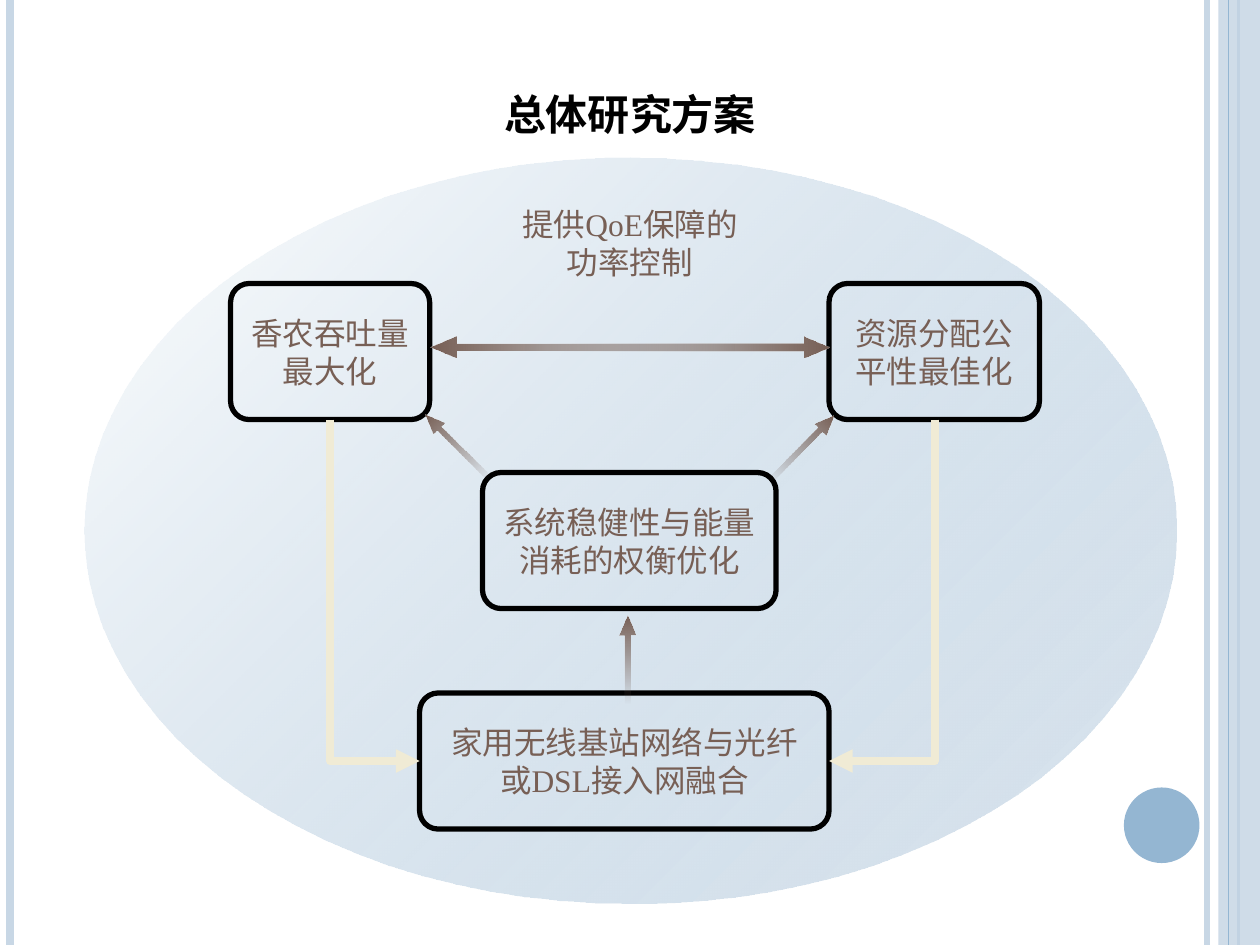
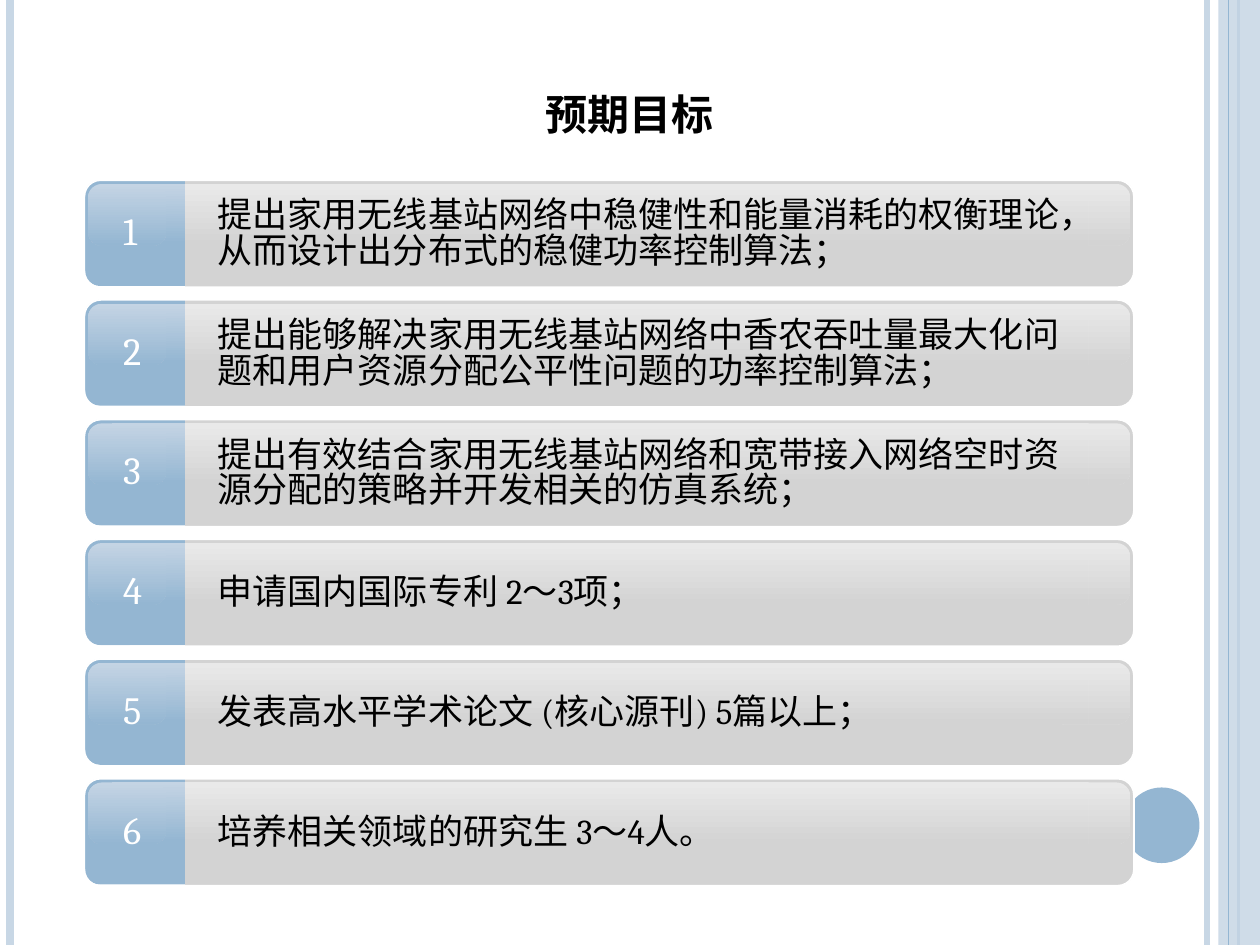
from dataclasses import dataclass, field
from typing import Any, NamedTuple

from pptx import Presentation
from pptx import util as u
from pptx.dml.color import RGBColor
from pptx.enum import shapes as sh, text as tx
from pptx.oxml import ns, parse_xml

In, Pt = u.Inches, u.Pt
Kind = sh.MSO_SHAPE


class Box(NamedTuple):
    x: float
    y: float
    w: float
    h: float

    def inch(self) -> list[int]:
        return [In(v) for v in self]


class Stop(NamedTuple):
    pos: int
    color: str
    alpha: int = 100


class Fill(NamedTuple):
    stops: tuple[Stop, ...]
    angle: int = 0


class Run(NamedTuple):
    text: str
    font: str


@dataclass(frozen=True)
class Theme:
    blue: str = "94B6D2"
    pale: str = "C8D7E5"
    brown: str = "775F55"
    cream: str = "F0EBD5"
    black: str = "000000"
    white: str = "FFFFFF"
    serif: str = "Cambria"
    sans: str = "DejaVu Sans"
    roman: str = "Times New Roman"
    title: int = 30
    node: int = 18
    goal: int = 20
    digit: int = 22


T = Theme()
BAND = Fill((Stop(0, T.pale, 87),))
BLUE = Fill((Stop(0, T.blue),))
OVAL = Fill((Stop(0, T.blue, 0), Stop(100, "D8E3ED")), 45)
ARROW = Fill((Stop(0, "715A51", 0), Stop(100, T.brown)))
GREY = Fill((Stop(0, "D3D3D3"), Stop(100, "D1D1D1")), 90)
GLOSS = Fill((Stop(0, "E9E9E9"), Stop(100, "D3D3D3")), 90)
SHINE = Fill((Stop(0, "C4D4E4"), Stop(100, T.blue)), 90)


@dataclass(frozen=True)
class Style:
    size: int
    color: str
    frame: dict[str, Any] = field(default_factory=dict)
    para: dict[str, Any] = field(default_factory=dict)
    font: dict[str, Any] = field(default_factory=dict)


MID = tx.MSO_ANCHOR.MIDDLE
CENTER = {"alignment": tx.PP_ALIGN.CENTER}
GROW = tx.MSO_AUTO_SIZE.SHAPE_TO_FIT_TEXT
TITLE = Style(T.title, T.black, {"vertical_anchor": tx.MSO_ANCHOR.BOTTOM},
              CENTER, {"bold": True})
NODE = Style(T.node, T.brown, {"vertical_anchor": MID, "word_wrap": True}, CENTER)
NOTE = Style(T.node, T.brown, {"word_wrap": True, "auto_size": GROW}, CENTER)
GOAL = Style(T.goal, T.black, {"vertical_anchor": MID, "word_wrap": True},
             {"line_spacing": 0.85, "alignment": tx.PP_ALIGN.LEFT})
DIGIT = Style(T.digit, T.white,
              {"vertical_anchor": MID, "word_wrap": False, "auto_size": GROW},
              {"line_spacing": Pt(23), "space_before": Pt(5), "space_after": Pt(4),
               "alignment": tx.PP_ALIGN.LEFT})


def apply(obj: Any, vals: dict[str, Any]) -> None:
    for name, val in vals.items():
        setattr(obj, name, val)


def write(shape: Any, runs: list[Run], style: Style) -> None:
    """Put one paragraph of runs into a shape."""
    frame = shape.text_frame
    apply(frame, style.frame)
    para = frame.paragraphs[0]
    apply(para, style.para)
    for item in runs:
        run = para.add_run()
        run.text = item.text
        apply(run.font, {"name": item.font, "size": Pt(style.size), **style.font})
        run.font.color.rgb = RGBColor.from_string(style.color)


def fill_xml(fill: Fill) -> Any:
    def hue(s: Stop) -> str:
        return f'<a:srgbClr val="{s.color}"><a:alpha val="{s.alpha * 1000}"/></a:srgbClr>'

    decl = ns.nsdecls("a")
    if len(fill.stops) == 1:
        return parse_xml(f"<a:solidFill {decl}>{hue(fill.stops[0])}</a:solidFill>")
    stops = "".join(f'<a:gs pos="{s.pos * 1000}">{hue(s)}</a:gs>' for s in fill.stops)
    return parse_xml(f'<a:gradFill {decl} rotWithShape="1"><a:gsLst>{stops}</a:gsLst>'
                     f'<a:lin ang="{fill.angle * 60000}" scaled="0"/></a:gradFill>')


def draw(slide: Any, kind: Any, box: Box, fill: Fill | None = None,
         line: tuple[str, float] | None = None, adj: tuple[float, ...] = (),
         turn: float = 0) -> Any:
    """Add a preset shape with plain fill and line."""
    shape = slide.shapes.add_shape(kind, *box.inch())
    shape.shadow.inherit = False
    shape.rotation = turn
    for i, val in enumerate(adj):
        shape.adjustments[i] = val
    shape.fill.background()
    if fill:
        props = shape.element.spPr
        props.replace(props.find(ns.qn("a:noFill")), fill_xml(fill))
    if line:
        shape.line.color.rgb = RGBColor.from_string(line[0])
        shape.line.width = Pt(line[1])
    else:
        shape.line.fill.background()
    return shape


def link(slide: Any, kind: Any, ends: tuple[float, ...], color: str, width: float,
         tip: bool = False) -> Any:
    con = slide.shapes.add_connector(kind, *[In(v) for v in ends])
    con.line.color.rgb = RGBColor.from_string(color)
    con.line.width = Pt(width)
    decl = ns.nsdecls("a")
    if tip:
        con.element.spPr.find(ns.qn("a:ln")).append(
            parse_xml(f'<a:tailEnd {decl} type="triangle"/>'))
    con.element.spPr.append(parse_xml(f"<a:effectLst {decl}/>"))
    return con


def elbow(slide: Any, x: float, y: float, end_x: float, end_y: float) -> None:
    """Go down, then sideways: a one-bend connector turned by a quarter."""
    mid_x, mid_y = (x + end_x) / 2, (y + end_y) / 2
    half, rise = (end_y - y) / 2, abs(end_x - x) / 2
    side = 1 if end_x > x else -1
    ends = (mid_x + side * half, mid_y - rise, mid_x - side * half, mid_y + rise)
    con = link(slide, sh.MSO_CONNECTOR.ELBOW, ends, T.cream, 4.5, tip=True)
    props = con.element.spPr
    props.find(ns.qn("a:prstGeom")).set("prst", "bentConnector2")
    props.find(ns.qn("a:xfrm")).set("rot", str((270 if side > 0 else 90) * 60000))


def dress(slide: Any, layout: Any) -> None:
    """Draw the side bands and move them to the layout."""
    def rule(x: float, color: str, width: float) -> Any:
        return link(slide, sh.MSO_CONNECTOR.STRAIGHT, (x, 0, x, 7.5), color, width)

    parts = [
        rule(9.58, T.pale, 3),
        rule(0.08, T.pale, 4.5),
        rule(9.83, T.blue, 1.5),
        draw(slide, Kind.RECTANGLE, Box(9.67, 0, 0.33, 7.5), BAND),
        rule(9.75, T.blue, 0.75),
        draw(slide, Kind.OVAL, Box(8.92, 6.25, 0.6, 0.6), BLUE),
    ]
    for i, part in enumerate(parts, 100):
        part.element[0][0].set("id", str(i))
        layout.shapes.element.append(part.element)


def head(slide: Any, words: str, top: float) -> None:
    """Place the title in bold small capitals."""
    title = slide.shapes.title
    spot = Box(0, top, 10, 1.17 - top).inch()
    apply(title, dict(zip(("left", "top", "width", "height"), spot)))
    write(title, [Run(words, T.serif)], TITLE)
    title.element.find(".//" + ns.qn("a:rPr")).set("cap", "small")


# Plan: four nodes joined by arrows
NODES: list[tuple[Box, list[Run]]] = [
    (Box(1.83, 2.25, 1.58, 1.08), [Run("香农吞吐量最大化", T.sans)]),
    (Box(6.58, 2.25, 1.67, 1.08), [Run("资源分配公平性最佳化", T.sans)]),
    (Box(3.83, 3.75, 2.33, 1.08), [Run("系统稳健性与能量消耗的权衡优化", T.sans)]),
    (Box(3.33, 5.5, 3.25, 1.08), [Run("家用无线基站网络与光纤或", T.sans),
                                  Run("DSL", T.roman), Run("接入网融合", T.sans)]),
]
ARROWS: list[tuple[Box, float]] = [
    (Box(3.27, 3.47, 0.7, 0.13), 225.4),
    (Box(6.02, 3.48, 0.7, 0.13), 314.7),
    (Box(4.63, 5.17, 0.7, 0.13), 270),
    (Box(4.33, 2.67, 2.25, 0.17), 0),
    (Box(3.42, 2.67, 2.25, 0.17), 180),
]


def plan(slide: Any) -> None:
    draw(slide, Kind.OVAL, Box(0.67, 1.25, 8.67, 5.92), OVAL)
    for box, runs in NODES:
        node = draw(slide, Kind.ROUNDED_RECTANGLE, box, line=(T.black, 3), adj=(0.137,))
        write(node, runs, NODE)
    for box, turn in ARROWS:
        draw(slide, Kind.RIGHT_ARROW, box, ARROW, adj=(0.352, 1.21), turn=turn)
    elbow(slide, 2.62, 3.33, 3.33, 6.04)
    elbow(slide, 7.42, 3.33, 6.58, 6.04)
    note = slide.shapes.add_textbox(*Box(4, 1.58, 2, 0.71).inch())
    write(note, [Run("提供", T.sans), Run("QoE", T.roman),
                 Run("保障的功率控制", T.sans)], NOTE)


# Goals: six numbered bars, punctuation set full width
GOALS: list[list[Run]] = [
    [Run("提出家用无线基站网络中稳健性和能量消耗的权衡理论,从而设计出分布式的稳健功率控制算法;", T.serif)],
    [Run("提出能够解决家用无线基站网络中香农吞吐量最大化问题和用户资源分配公平性问题的功率控制算法;", T.serif)],
    [Run("提出有效结合家用无线基站网络和宽带接入网络空时资源分配的策略并开发相关的仿真系统;", T.serif)],
    [Run("申请国内国际专利 2~3项;", T.serif)],
    [Run("发表高水平学术论文 (", T.serif), Run("核心", T.roman),
     Run("源刊) 5篇以上;", T.serif)],
    [Run("培养相关领域的研究生 3~4人。", T.serif)],
]
WIDE = str.maketrans({",": "\uff0c", ";": "\uff1b", "~": "\uff5e"})


def goal(slide: Any, num: int, runs: list[Run], y: float) -> None:
    rect, soft = Kind.RECTANGLE, Kind.ROUNDED_RECTANGLE
    # base bar with a white rim
    draw(slide, soft, Box(8.12, y, 0.88, 0.85), GREY, adj=(0.147,))
    draw(slide, soft, Box(0.67, y, 0.92, 0.84), BLUE, adj=(0.147,))
    draw(slide, rect, Box(1.47, y, 6.91, 0.85), GREY)
    draw(slide, soft, Box(0.67, y, 8.33, 0.85), line=(T.white, 1), adj=(0.152,))
    # glossy upper half
    top = y + 0.03
    draw(slide, rect, Box(0.89, top, 0.58, 0.47), SHINE)
    draw(slide, soft, Box(8.35, top, 0.62, 0.49), GLOSS, adj=(0.221,))
    draw(slide, rect, Box(1.47, top, 7.17, 0.49), GLOSS)
    draw(slide, soft, Box(0.7, top, 0.62, 0.49), SHINE, adj=(0.221,))
    # wording and number
    body = slide.shapes.add_textbox(*Box(1.63, y + 0.1, 7.13, 0.67).inch())
    write(body, [Run(r.text.translate(WIDE), r.font) for r in runs], GOAL)
    mark = slide.shapes.add_textbox(*Box(0.88, y + 0.21, 0.37, 0.42).inch())
    write(mark, [Run(str(num), T.serif)], DIGIT)


def main() -> None:
    deck = Presentation()
    deck.slide_width, deck.slide_height = In(10), In(7.5)
    layout = deck.slide_layouts[5]
    first, second = (deck.slides.add_slide(layout) for _ in range(2))
    dress(first, layout)
    plan(first)
    head(first, "总体研究方案", 0.5)
    head(second, "预期目标", 0.42)
    for i, runs in enumerate(GOALS):
        goal(second, i + 1, runs, 1.43 + 0.95 * i)
    deck.save("out.pptx")


main()
